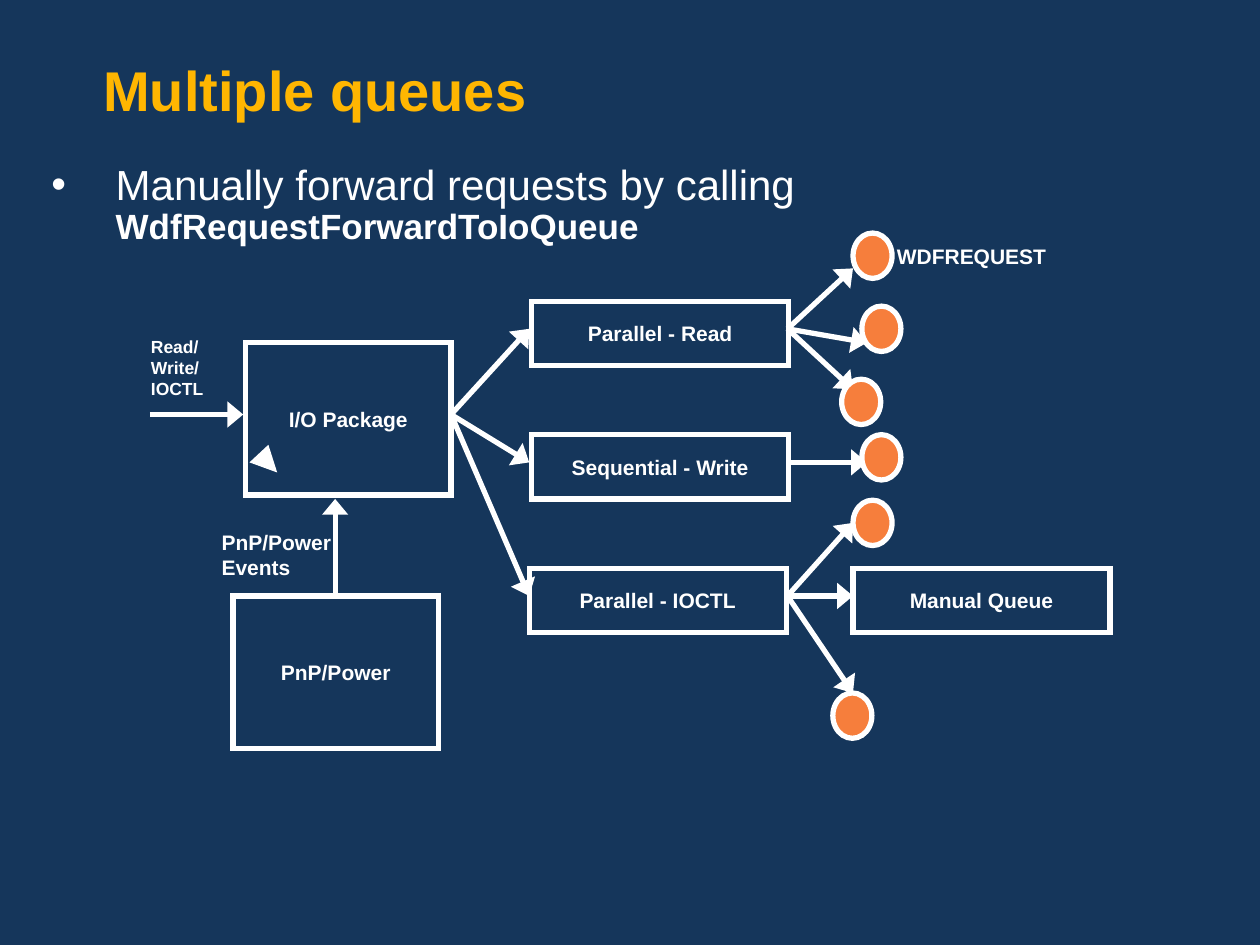
from lxml.etree import SubElement
from pptx import Presentation
from pptx.dml.color import RGBColor
from pptx.enum.shapes import MSO_CONNECTOR, MSO_SHAPE
from pptx.enum.text import MSO_ANCHOR, PP_ALIGN
from pptx.oxml.ns import qn
from pptx.util import Inches, Pt

WHITE, GOLD, NAVY, CORAL = "FFFFFF", "FFB601", "15365B", "F67E3C"


def paint(target, color):
    """Set a colour format from a hex string."""
    target.rgb = RGBColor.from_string(color)


def write(frame, runs, before=7.5, color=WHITE, align=PP_ALIGN.LEFT):
    """Add (text, size, bold) runs to a frame's first paragraph."""
    para = frame.paragraphs[0]
    para.alignment = align
    para.space_before = Pt(before)
    for text, size, bold in runs:
        for row, part in enumerate(text.split("\n")):
            if row:
                para.add_line_break()
            run = para.add_run()
            run.text = part
            run.font.name = "Arial"
            run.font.size = Pt(size)
            run.font.bold = bold
            paint(run.font.color, color)
    return para


def label(slide, box, runs, anchor=MSO_ANCHOR.TOP, **style):
    """Add a text box and return it with its paragraph."""
    shape = slide.shapes.add_textbox(*map(Inches, box))
    frame = shape.text_frame
    frame.word_wrap = True
    frame.vertical_anchor = anchor
    return shape, write(frame, runs, **style)


def outline(slide, kind, box):
    """Add a flat shape with a thick white outline and no fill."""
    shape = slide.shapes.add_shape(kind, *map(Inches, box))
    shape.shadow.inherit = False
    shape.fill.background()
    paint(shape.line.color, WHITE)
    shape.line.width = Pt(3)
    SubElement(shape._element.spPr.find(qn("a:ln")), qn("a:miter"),
               lim="800000")
    return shape


def block(slide, box, text):
    """Add an outlined box with a centred label."""
    frame = outline(slide, MSO_SHAPE.RECTANGLE, box).text_frame
    frame.word_wrap = True
    frame.vertical_anchor = MSO_ANCHOR.MIDDLE
    write(frame, [(text, 12, True)], align=PP_ALIGN.CENTER)


def arrow(slide, start, end):
    """Add a straight white arrow with a wide head."""
    line = slide.shapes.add_connector(
        MSO_CONNECTOR.STRAIGHT, *map(Inches, (*start, *end)))
    paint(line.line.color, WHITE)
    line.line.width = Pt(3)
    props = line._element.spPr
    SubElement(props.find(qn("a:ln")), qn("a:tailEnd"),
               type="triangle", w="lg", len="med")
    SubElement(props, qn("a:effectLst"))


def wedge(slide, x, y):
    """Add the small white triangle inside the package."""
    pen = slide.shapes.build_freeform(Inches(x + 0.15), Inches(y))
    pen.add_line_segments([(Inches(x + 0.22), Inches(y + 0.22)),
                           (Inches(x), Inches(y + 0.14))])
    shape = pen.convert_to_shape()
    shape.shadow.inherit = False
    shape.fill.solid()
    paint(shape.fill.fore_color, WHITE)
    shape.line.fill.background()


def title(slide, box):
    """Add the slide title."""
    shape, para = label(slide, box, [("Multiple queues", 32, True)],
                        before=0, color=GOLD)
    para.line_spacing = 0.9
    frame = shape.text_frame
    frame.margin_left = frame.margin_right = Inches(0.4)
    frame.margin_top = Inches(0.25)


def point(slide, box):
    """Add the bullet above the diagram."""
    runs = [("Manually forward requests by calling ", 24, False),
            ("WdfRequestForwardToIoQueue", 20, True)]
    para = label(slide, box, runs)[1]
    para.line_spacing = 0.9
    props = para._p.get_or_add_pPr()
    indent = Inches(0.51)
    props.set("marL", str(indent))
    props.set("indent", str(-indent))
    tint = SubElement(props, qn("a:buClr"))
    SubElement(tint, qn("a:srgbClr"), val=WHITE)
    SubElement(props, qn("a:buFont"), typeface="Arial")
    SubElement(props, qn("a:buChar"), char="•")


def intake(slide, x, y):
    """Add the package, the power box and what feeds them."""
    arrow(slide, (x + 0.09, y + 0.68), (x + 0.83, y + 0.68))
    arrow(slide, (x + 1.56, y + 2.12), (x + 1.56, y + 1.35))
    label(slide, (x + 0.56, y + 1.54, 1.12, 0.5),
          [("PnP/Power Events", 12, True)], MSO_ANCHOR.MIDDLE)
    label(slide, (x, y + 0.01, 0.8, 0.6),
          [("Read/\nWrite/\nIOCTL", 10, True)], before=6.2)
    block(slide, (x + 0.85, y + 0.11, 1.63, 1.21), "I/O Package")
    block(slide, (x + 0.75, y + 2.12, 1.63, 1.21), "PnP/Power")
    wedge(slide, x + 0.88, y + 0.92)


def queues(slide, x, y):
    """Add the three queues and the arrows fanning out to them."""
    names = ["Parallel - Read", "Sequential - Write", "Parallel - IOCTL"]
    for row, (name, shift) in enumerate(zip(names, (0.64, 0.64, 0.62))):
        top = y + 1.06 * row
        block(slide, (x + shift, top, 2.04, 0.51), name)
        arrow(slide, (x, y + 0.9), (x + 0.62, top + 0.22))


def requests(slide, x, y):
    """Add the requests, the manual queue and the arrows to them."""
    block(slide, (x + 0.52, y + 2.12, 2.04, 0.51), "Manual Queue")
    fans = [(0, [(0.52, -0.26), (0.63, 0.33), (0.52, 0.7)]),
            (1, [(0.63, 1.28)]),
            (2, [(0.52, 1.76), (0.52, 2.34), (0.52, 3.11)])]
    for row, ends in fans:
        for dx, dy in ends:
            arrow(slide, (x, y + 0.22 + 1.06 * row), (x + dx, y + dy))
    spots = [(0.52, -0.54), (0.43, 0.62), (0.59, 0.04),
             (0.59, 1.06), (0.52, 1.58), (0.36, 3.11)]
    for dx, dy in spots:
        dot = outline(slide, MSO_SHAPE.OVAL, (x + dx, y + dy, 0.31, 0.36))
        dot.fill.solid()
        paint(dot.fill.fore_color, CORAL)
    label(slide, (x + 0.77, y - 0.51, 1.43, 0.3),
          [("WDFREQUEST", 12, True)], MSO_ANCHOR.MIDDLE)


def main():
    """Build and save the slide."""
    deck = Presentation()
    deck.slide_width, deck.slide_height = Inches(10), Inches(7.5)
    slide = deck.slides.add_slide(deck.slide_layouts[6])
    slide.background.fill.solid()
    paint(slide.background.fill.fore_color, NAVY)
    title(slide, (0.42, 0.25, 9.58, 0.76))
    point(slide, (0.31, 1.25, 9.49, 1.18))
    intake(slide, 1.1, 2.61)
    queues(slide, 3.58, 2.39)
    requests(slide, 6.25, 2.39)
    deck.save("out.pptx")


main()
